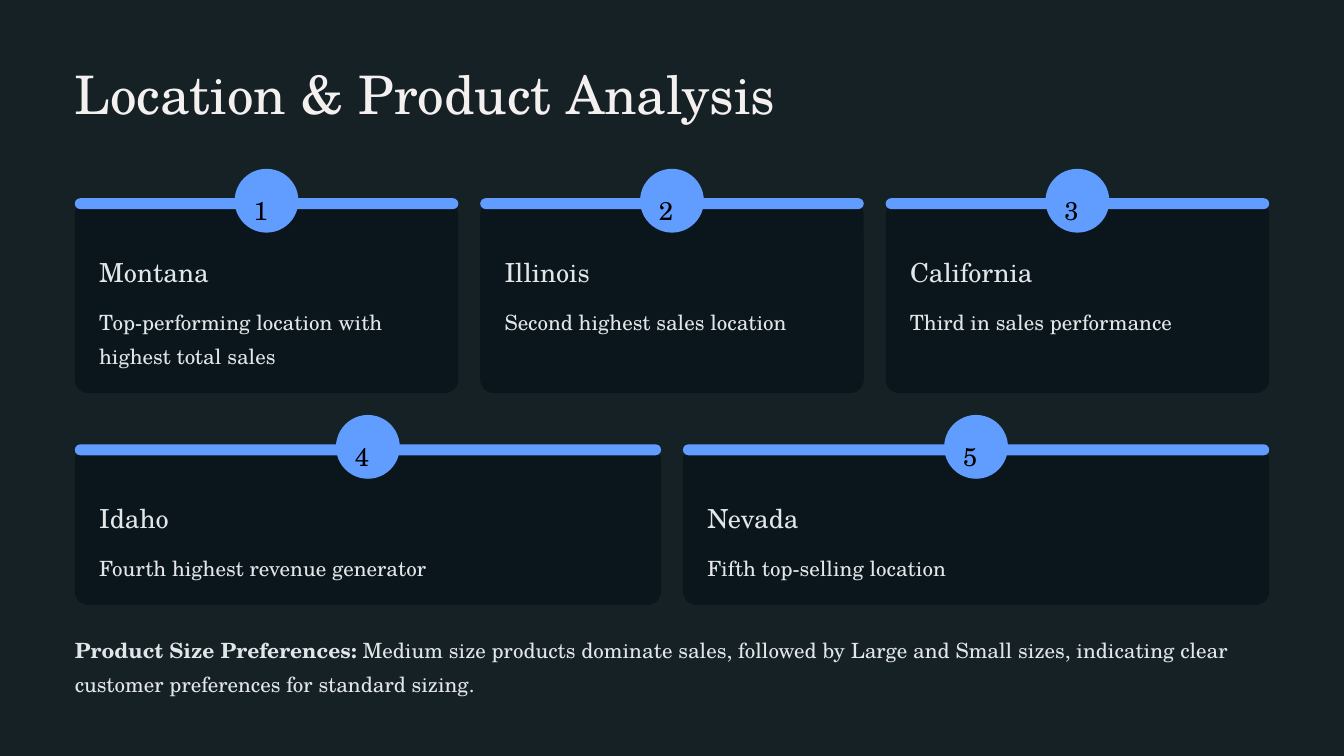
"""Build the Location & Product Analysis slide with five ranked location cards."""
from pptx import Presentation
from pptx.dml.color import RGBColor
from pptx.enum import shapes, text
from pptx.util import Inches, Pt

BACKGROUND = RGBColor(0x15, 0x21, 0x25)
CARD = RGBColor(0x0A, 0x16, 0x1B)
ACCENT = RGBColor(0x60, 0x9D, 0xFF)
TITLE = RGBColor(0xF5, 0xF0, 0xF0)
BODY = RGBColor(0xE2, 0xE6, 0xE9)
NUMBER = RGBColor(0x00, 0x00, 0x00)

LEFT, CONTENT_WIDTH, GAP, INSET = 0.89, 14.22, 0.26, 0.29
CIRCLE, BAR = 0.76, 0.13

STYLES = {
    "title": {"size": 45.5, "spacing": 57, "color": TITLE},
    "number": {"size": 22, "spacing": 35, "color": NUMBER},
    "heading": {"size": 22.5, "spacing": 28.5, "color": BODY},
    "body": {"size": 18, "spacing": 29, "color": BODY},
}

ROWS = [
    {"top": 2.39, "height": 2.29, "radius": 0.07, "cards": [
        ("Montana", "Top-performing location with highest total sales"),
        ("Illinois", "Second highest sales location"),
        ("California", "Third in sales performance"),
    ]},
    {"top": 5.32, "height": 1.88, "radius": 0.085, "cards": [
        ("Idaho", "Fourth highest revenue generator"),
        ("Nevada", "Fifth top-selling location"),
    ]},
]


def write(shape, box, style, *runs):
    shape.left, shape.top, shape.width, shape.height = map(Inches, box)
    frame = shape.text_frame
    frame_format = {
        "margin_left": 0, "margin_top": 0, "margin_right": 0, "margin_bottom": 0,
        "word_wrap": True, "auto_size": text.MSO_AUTO_SIZE.NONE,
        "vertical_anchor": text.MSO_ANCHOR.TOP,
    }
    for name, value in frame_format.items():
        setattr(frame, name, value)
    paragraph = frame.paragraphs[0]
    paragraph.alignment = text.PP_ALIGN.LEFT
    paragraph.line_spacing = Pt(STYLES[style]["spacing"])
    for words, bold in runs:
        run = paragraph.add_run()
        run.text = words
        run_format = {"name": "TeX Gyre Schola", "size": Pt(STYLES[style]["size"]), "bold": bold}
        for name, value in run_format.items():
            setattr(run.font, name, value)
        run.font.color.rgb = STYLES[style]["color"]


def add_panel(kind, box, color, radius=None):
    shape = slide.shapes.add_shape(kind, *map(Inches, box))
    shape.shadow.inherit = False
    shape.fill.solid()
    shape.fill.fore_color.rgb = color
    shape.line.fill.background()
    if radius is not None:
        shape.adjustments[0] = radius


presentation = Presentation()
presentation.slide_width, presentation.slide_height = Inches(16), Inches(9)
slide = presentation.slides.add_slide(presentation.slide_layouts[5])
slide.background.fill.solid()
slide.background.fill.fore_color.rgb = BACKGROUND

write(slide.shapes.title, (LEFT, 0.7, CONTENT_WIDTH, 0.8), "title",
      ("Location & Product Analysis", False))

rounded, oval = shapes.MSO_SHAPE.ROUNDED_RECTANGLE, shapes.MSO_SHAPE.OVAL
rank = 0
for row in ROWS:
    top, count = row["top"], len(row["cards"])
    width = (CONTENT_WIDTH - GAP * (count - 1)) / count
    for column, (location, detail) in enumerate(row["cards"]):
        rank += 1
        left = LEFT + column * (width + GAP)
        center = left + width / 2
        add_panel(rounded, (left, top, width, row["height"]), CARD, row["radius"])
        add_panel(rounded, (left, top - 0.03, width, BAR), ACCENT, 0.5)
        add_panel(oval, (center - CIRCLE / 2, top - 0.38, CIRCLE, CIRCLE), ACCENT)
        labels = [
            ((center - 0.155, top - 0.19, 0.31, 0.38), "number", str(rank)),
            ((left + INSET, top + 0.64, 3.19, 0.4), "heading", location),
            ((left + INSET, top + 1.19, width - 2 * INSET, 0.82), "body", detail),
        ]
        for box, style, words in labels:
            write(slide.shapes.add_textbox(0, 0, 0, 0), box, style, (words, False))

write(slide.shapes.add_textbox(0, 0, 0, 0), (LEFT, 7.49, CONTENT_WIDTH, 0.82), "body",
      ("Product Size Preferences:", True),
      (" Medium size products dominate sales, followed by Large and Small sizes, "
       "indicating clear customer preferences for standard sizing.", False))

presentation.save("out.pptx")
